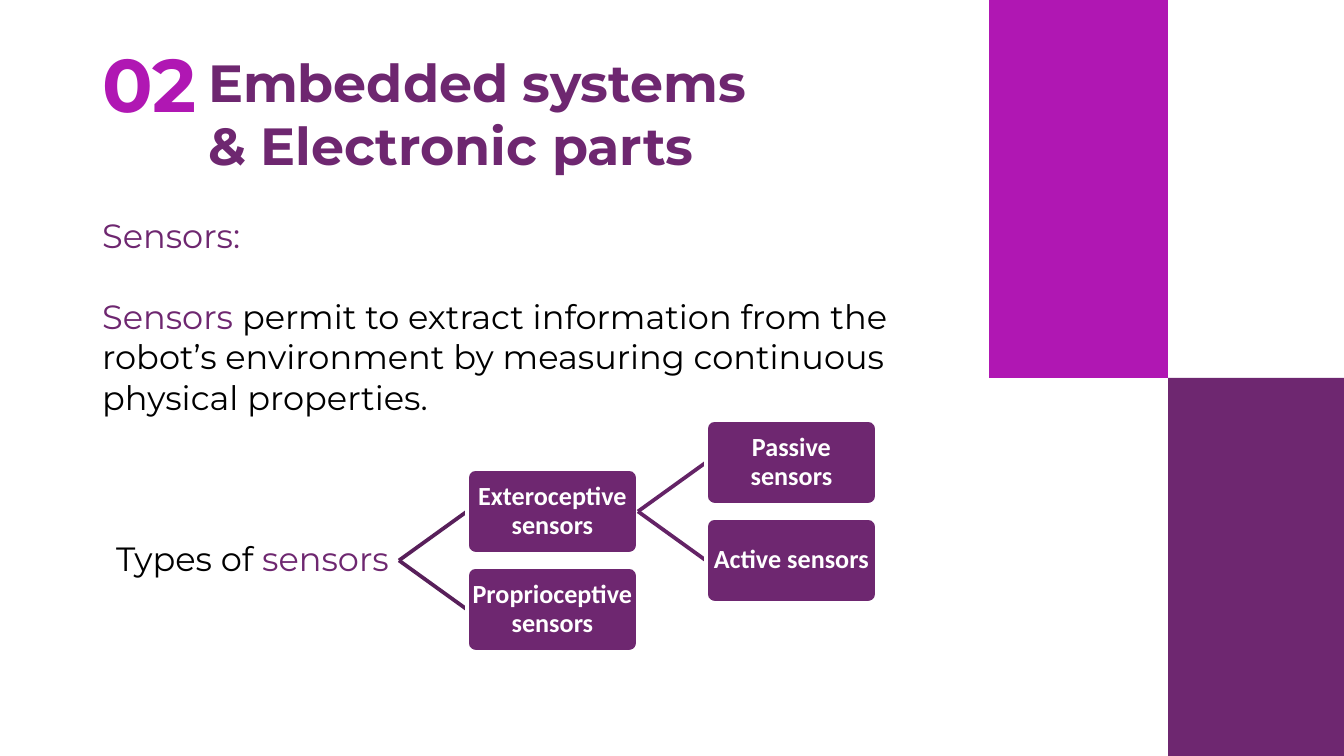
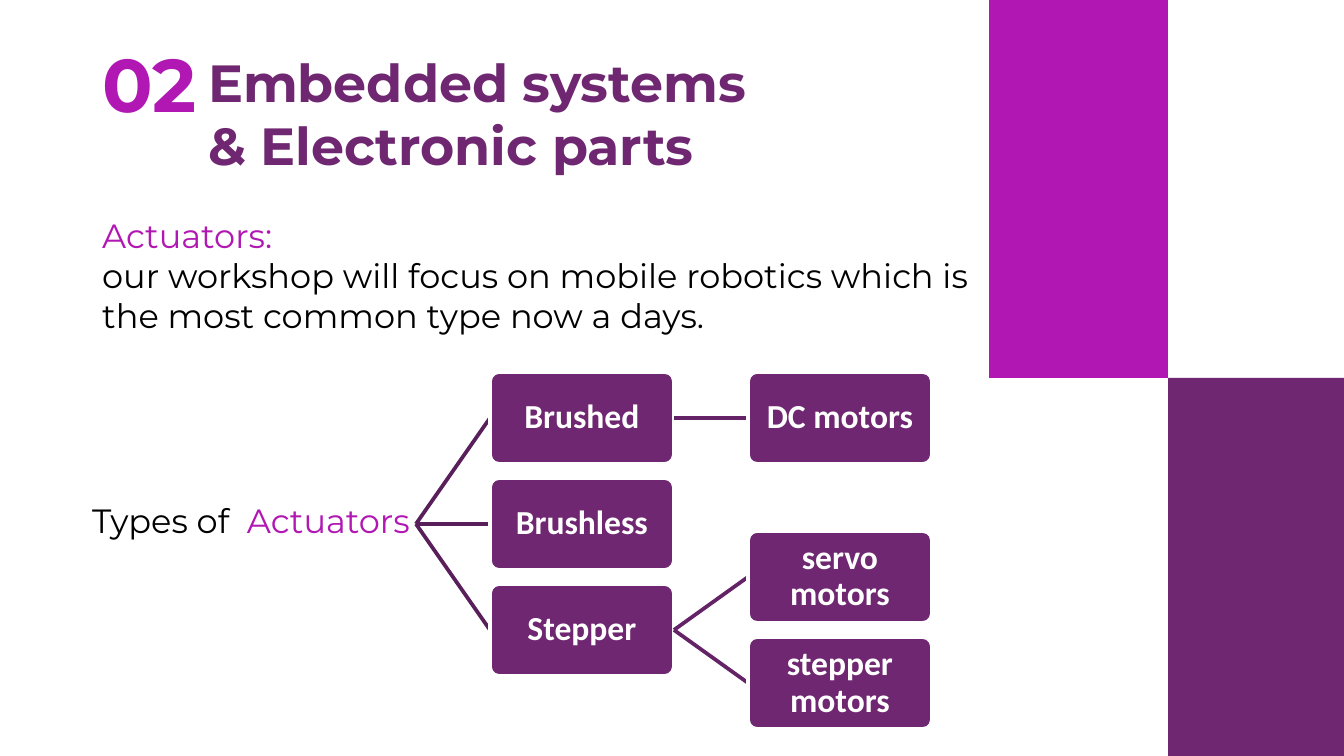
"""Build two slides on sensors and actuators, each with a type tree."""
from pptx import Presentation
from pptx import util as u
from pptx.dml.color import RGBColor
from pptx.enum import shapes, text
from pptx.oxml.ns import qn
from lxml import etree

PX = 914400 / 134.4
WIDE, HIGH = 1344, 756
PINK, PLUM, BLACK, WHITE = "B017B3", "6E2770", "000000", "FFFFFF"
LINES = "581F5A", "642366"
HEAD, NODE = "Montserrat", "Calibri"
BAND = 179
INSET = 1

TITLE = [
    ((89, 31, 175, 103), "02", 40, PINK),
    ((195, 44, 573, 140), "Embedded systems & Electronic parts", 28, PLUM),
]

SLIDES = [
    {
        "body": (89, 208, 914, 258),
        "paras": [
            [("Sensors:", PLUM)],
            [("Sensors", PLUM),
             (" permit to extract information from the robot’s environment "
              "by measuring continuous physical properties.", BLACK)],
        ],
        "gap": 22,
        "label": (103, 531, 336, 54),
        "root": [("Types of ", BLACK), ("sensors", PLUM)],
        "grid": {"left": 467, "top": 420, "wide": 171, "high": 85,
                 "across": 239, "down": 98, "size": 14},
        "tree": [
            ("Exteroceptive sensors", 0.5, [
                ("Passive sensors", 0, []),
                ("Active sensors", 1, []),
            ]),
            ("Proprioceptive sensors", 1.5, []),
        ],
    },
    {
        "body": (89, 208, 923, 339),
        "paras": [
            [("Actuators:", PINK)],
            [("our workshop will focus on mobile robotics which is the most "
              "common type now a days.", BLACK)],
        ],
        "gap": 0,
        "label": (79, 493, 367, 54),
        "root": [("Types of  ", BLACK), ("Actuators", PINK)],
        "grid": {"left": 490, "top": 372, "wide": 184, "high": 92,
                 "across": 258, "down": 106, "size": 18},
        "tree": [
            ("Brushed", 0, [("DC motors", 0, [])]),
            ("Brushless", 1, []),
            ("Stepper", 2, [
                ("servo motors", 1.5, []),
                ("stepper motors", 2.5, []),
            ]),
        ],
    },
]


def emu(*nums):
    return [u.Emu(round(n * PX)) for n in nums]


def rgb(code):
    return RGBColor.from_string(code)


def style(font, face, size, color, bold=False):
    font.name, font.size, font.bold = face, u.Pt(size), bold
    font.color.rgb = rgb(color)


def write(slide, area, paras, size, bold=False, gap=0):
    frame = slide.shapes.add_textbox(*emu(*area)).text_frame
    frame.word_wrap = True
    frame.auto_size = text.MSO_AUTO_SIZE.SHAPE_TO_FIT_TEXT
    for i, parts in enumerate(paras):
        para = frame.add_paragraph() if i else frame.paragraphs[0]
        if i and gap:
            para.space_before = u.Pt(gap)
        for words, color in parts:
            run = para.add_run()
            run.text = words
            style(run.font, HEAD, size, color, bold)


def block(slide, kind, area, color):
    shape = slide.shapes.add_shape(kind, *emu(*area))
    shape.shadow.inherit = False
    shape.fill.solid()
    shape.fill.fore_color.rgb = rgb(color)
    shape.line.fill.background()
    return shape


def link(slide, start, end, color):
    line = slide.shapes.add_connector(
        shapes.MSO_CONNECTOR.STRAIGHT, *emu(*start, *end))
    line.line.color.rgb = rgb(color)
    line.line.width = u.Pt(2)
    etree.SubElement(line._element.spPr, qn("a:effectLst"))


def node(slide, area, words, size):
    shape = block(slide, shapes.MSO_SHAPE.ROUNDED_RECTANGLE, area, PLUM)
    shape.adjustments[0] = 0.1
    shape.line.color.rgb = rgb(WHITE)
    shape.line.width = u.Pt(2)
    frame = shape.text_frame
    frame.text = words
    frame.word_wrap = True
    frame.vertical_anchor = text.MSO_ANCHOR.MIDDLE
    inset = emu(INSET)[0]
    frame.margin_left = frame.margin_right = inset
    frame.margin_top = frame.margin_bottom = inset
    para = frame.paragraphs[0]
    para.alignment = text.PP_ALIGN.CENTER
    para.line_spacing = 0.9
    style(para.runs[0].font, NODE, size, WHITE, True)


def branch(slide, grid, nodes, start, level=0):
    left = grid["left"] + level * grid["across"]
    for words, row, kids in nodes:
        top = grid["top"] + row * grid["down"]
        mid = top + grid["high"] / 2
        link(slide, start, (left, mid), LINES[level])
        node(slide, (left, top, grid["wide"], grid["high"]), words,
             grid["size"])
        branch(slide, grid, kids, (left + grid["wide"], mid), level + 1)


def frame_page(slide):
    for i, color in enumerate((PINK, PLUM)):
        area = (989 + i * BAND, i * HIGH / 2, BAND, HIGH / 2)
        block(slide, shapes.MSO_SHAPE.RECTANGLE, area, color)
    for area, words, size, color in TITLE:
        write(slide, area, [[(words, color)]], size, True)


def main():
    deck = Presentation()
    deck.slide_width, deck.slide_height = emu(WIDE, HIGH)
    for page in SLIDES:
        slide = deck.slides.add_slide(deck.slide_layouts[6])
        frame_page(slide)
        write(slide, page["body"], page["paras"], 18, gap=page["gap"])
        write(slide, page["label"], [page["root"]], 18)
        grid = page["grid"]
        start = (grid["left"] + grid["wide"] - grid["across"],
                 grid["top"] + grid["down"] + grid["high"] / 2)
        branch(slide, grid, page["tree"], start)
    deck.save("out.pptx")


if __name__ == "__main__":
    main()
